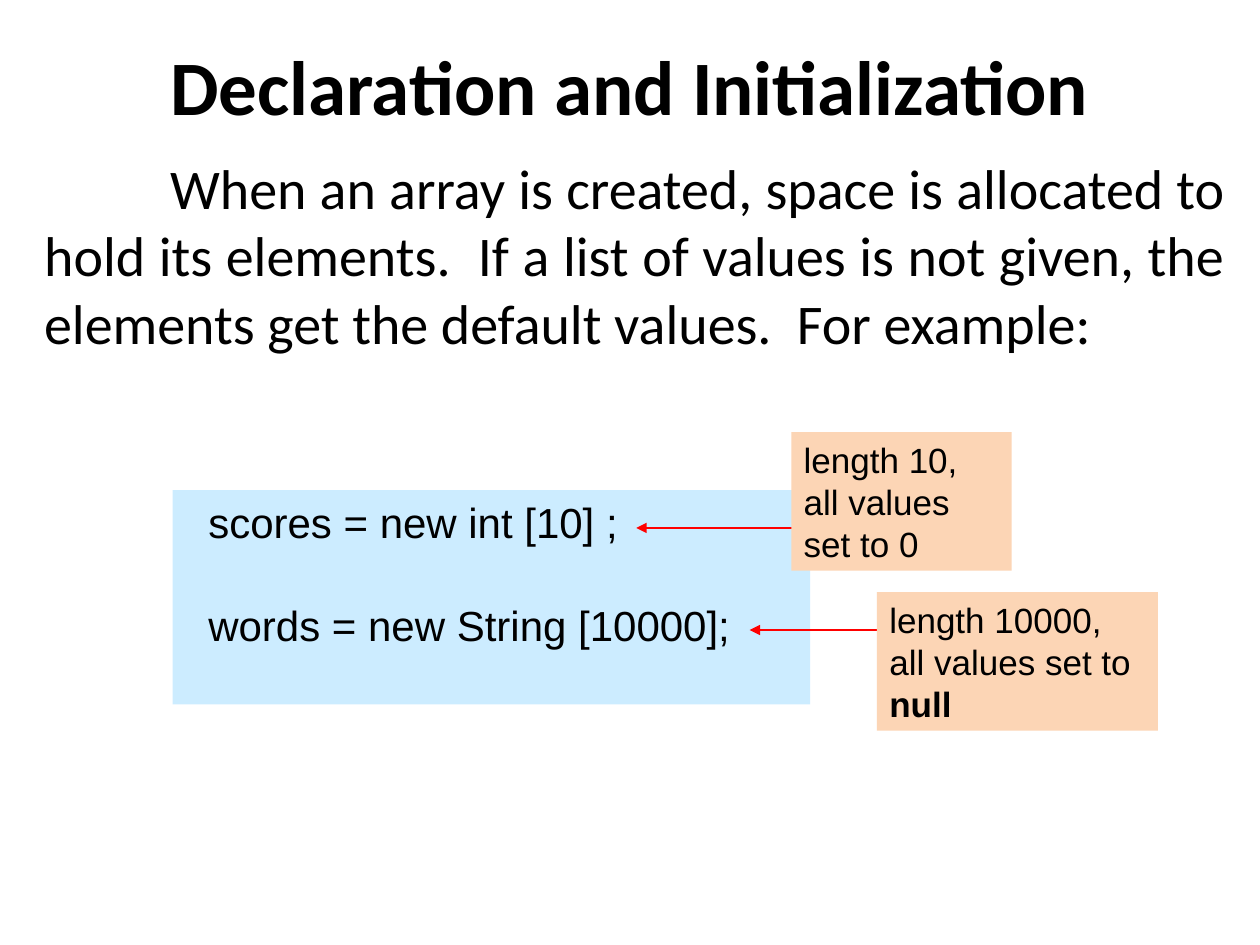
from lxml import etree
from pptx import Presentation
from pptx.dml.color import RGBColor
from pptx.enum.shapes import MSO_CONNECTOR, MSO_SHAPE
from pptx.enum.text import MSO_ANCHOR, MSO_AUTO_SIZE, PP_ALIGN
from pptx.oxml.ns import qn
from pptx.util import Inches, Pt

BLACK = RGBColor(0x00, 0x00, 0x00)
RED = RGBColor(0xFF, 0x00, 0x00)
SKY = RGBColor(0xCC, 0xEC, 0xFF)
PEACH = RGBColor(0xFC, 0xD5, 0xB5)
RECT = MSO_SHAPE.RECTANGLE
STRAIGHT = MSO_CONNECTOR.STRAIGHT
TOP, MIDDLE = MSO_ANCHOR.TOP, MSO_ANCHOR.MIDDLE
LEFT, CENTER, JUSTIFY = PP_ALIGN.LEFT, PP_ALIGN.CENTER, PP_ALIGN.JUSTIFY
NO_FIT = MSO_AUTO_SIZE.NONE


class Deck:
    text_font = "Calibri"
    code_font = "Arial"

    def __init__(self, prs):
        self.prs = prs
        self.slide = prs.slides.add_slide(prs.slide_layouts[1])

    def place(self, sp, left, top, width, height):
        sp.left, sp.top = Inches(left), Inches(top)
        sp.width, sp.height = Inches(width), Inches(height)

    def format(self, tf, font, size, align, anchor=TOP):
        tf.word_wrap = True
        tf.auto_size = NO_FIT
        tf.vertical_anchor = anchor
        for p in tf.paragraphs:
            p.alignment = align
            for r in p.runs:
                r.font.name = font
                r.font.size = Pt(size)
                r.font.color.rgb = BLACK

    def title(self, text, *box):
        sp = self.slide.shapes.title
        self.place(sp, *box)
        tf = sp.text_frame
        tf.text = text
        self.format(tf, self.text_font, 44, CENTER, MIDDLE)
        tf.paragraphs[0].runs[0].font.bold = True

    def body(self, text, *box):
        sp = self.slide.placeholders[1]
        self.place(sp, *box)
        tf = sp.text_frame
        tf.text = text
        p = tf.paragraphs[0]
        pPr = p._p.get_or_add_pPr()
        pPr.set("marL", "0")
        pPr.set("indent", str(Inches(1)))
        etree.SubElement(pPr, qn("a:buNone"))
        p.space_before = Pt(0)
        self.format(tf, self.text_font, 32, JUSTIFY)

    def panel(self, lines, size, fill, *box):
        sp = self.slide.shapes.add_shape(RECT, *map(Inches, box))
        sp.shadow.inherit = False
        sp.fill.solid()
        sp.fill.fore_color.rgb = fill
        sp.line.fill.background()
        tf = sp.text_frame
        tf.text = "\n".join(lines)
        self.format(tf, self.code_font, size, LEFT)
        return tf

    def code(self, lines, *box):
        tf = self.panel(lines, 24, SKY, *box)
        for p in tf.paragraphs[1:]:
            p.space_before = Pt(30)

    def callout(self, text, bold, *box):
        tf = self.panel([text], 20, PEACH, *box)
        if bold:
            r = tf.paragraphs[0].add_run()
            r.text = bold
            self.format(tf, self.code_font, 20, LEFT)
            r.font.bold = True

    def arrow(self, x1, x2, y):
        line = self.slide.shapes.add_connector(
            STRAIGHT, Inches(x1), Inches(y), Inches(x2), Inches(y))
        line.line.color.rgb = RED
        line.line.width = Pt(0.75)
        ln = line.line._get_or_add_ln()
        etree.SubElement(ln, qn("a:tailEnd"), type="triangle")
        etree.SubElement(line._element.spPr, qn("a:effectLst"))


def main():
    prs = Presentation()
    prs.slide_width, prs.slide_height = Inches(10), Inches(7.5)
    deck = Deck(prs)
    deck.title("Declaration and Initialization", 0, 0.17, 10, 1)
    deck.body("When an array is created, space is allocated to hold its "
              "elements.  If a list of values is not given, the elements "
              "get the default values.  For example:",
              0.25, 1.17, 9.58, 1.72)
    deck.code(["  scores = new int [10] ;", "  words = new String [10000];"],
              1.37, 3.89, 5.06, 1.7)
    deck.arrow(6.39, 5.05, 4.19)
    deck.callout("length 10, all values set to 0", "", 6.28, 3.43, 1.75, 1.1)
    deck.arrow(7.3, 5.95, 5)
    deck.callout("length 10000, all values set to ", "null",
                 6.96, 4.7, 2.23, 1.1)
    prs.save("out.pptx")


if __name__ == "__main__":
    main()
